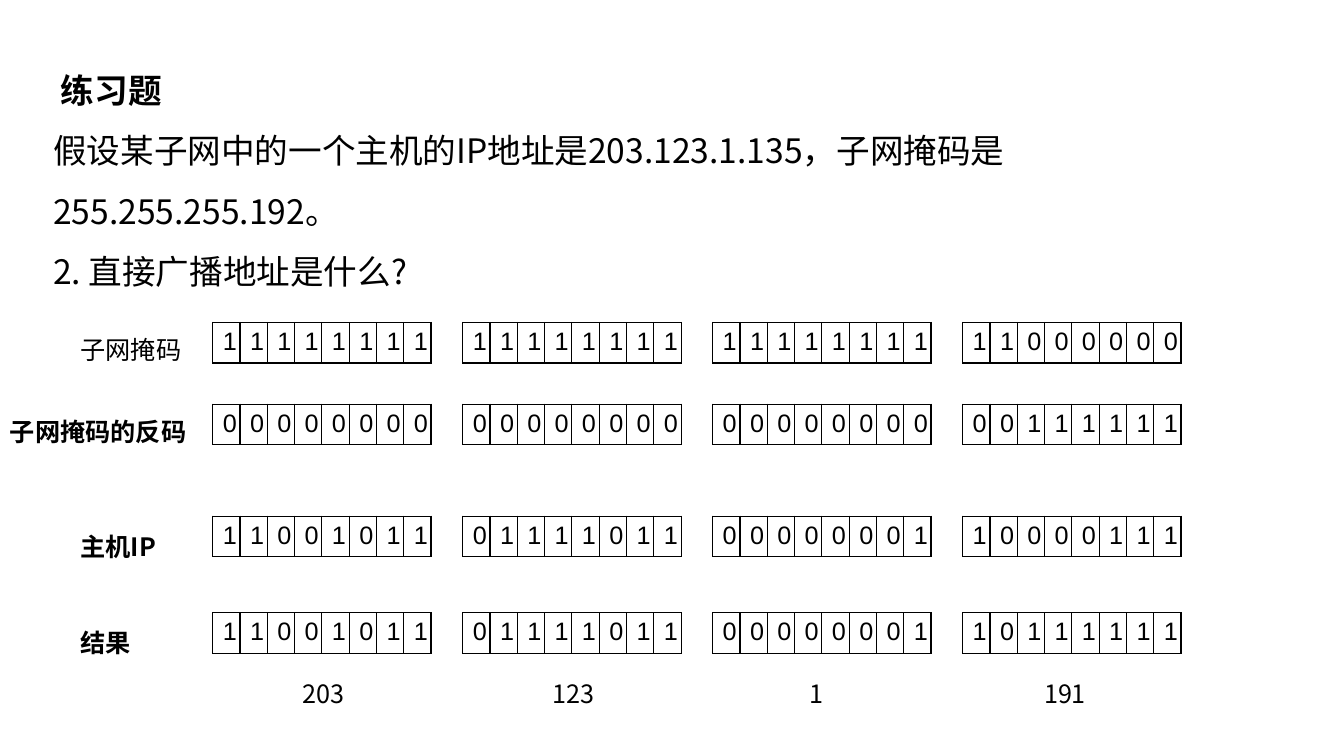
import pptx
import pptx.util
import pptx.dml.color
import pptx.enum.text
import pptx.oxml
import pptx.oxml.ns

Pt = pptx.util.Pt
HUES = {"ink": "000000", "page": "FFFFFF"}
MASK = [255, 255, 255, 192]
HOST = [203, 123, 1, 135]
FLIP = [255 - part for part in MASK]
SUM = [a | b for a, b in zip(HOST, FLIP)]


class Deck:
    cjk = "Noto Sans CJK SC"
    sans = "Arial"

    def __init__(self, wide, high):
        self.show = pptx.Presentation()
        self.show.slide_width, self.show.slide_height = Pt(wide), Pt(high)
        self.slide = self.show.slides.add_slide(self.show.slide_layouts[6])
        fill = self.slide.background.fill
        fill.solid()
        fill.fore_color.rgb = self.hue("page")

    def hue(self, name):
        return pptx.dml.color.RGBColor.from_string(HUES[name])

    def style(self, run, face, size, bold=False):
        looks = {"name": face, "size": Pt(size), "bold": bold}
        for key, value in looks.items():
            setattr(run.font, key, value)
        run.font.color.rgb = self.hue("ink")
        east = pptx.oxml.ns.qn("a:ea")
        run.font._element.makeelement(east)
        node = pptx.oxml.parse_xml(
            f'<a:ea {pptx.oxml.ns.nsdecls("a")} typeface="{face}"/>')
        run.font._element.find(pptx.oxml.ns.qn("a:latin")).addnext(node)

    def text(self, box, lines, size=18):
        frame = self.slide.shapes.add_textbox(*map(Pt, box)).text_frame
        frame.word_wrap = True
        frame.auto_size = pptx.enum.text.MSO_AUTO_SIZE.SHAPE_TO_FIT_TEXT
        for index, (words, bold) in enumerate(lines):
            para = frame.add_paragraph() if index else frame.paragraphs[0]
            para.line_spacing = 1.5
            run = para.add_run()
            run.text = words
            self.style(run, self.cjk, size, bold)

    def edge(self, cell):
        props = cell._tc.get_or_add_tcPr()
        for side in "LRTB":
            props.append(pptx.oxml.parse_xml(
                f'<a:ln{side} {pptx.oxml.ns.nsdecls("a")} w="{Pt(1)}">'
                f'<a:solidFill><a:srgbClr val="{HUES["ink"]}"/></a:solidFill>'
                f'</a:ln{side}>'))
        cell.fill.background()

    def byte(self, left, top, value):
        bits = format(value, "08b")
        wide, high = 156.24, 28.8
        grid = self.slide.shapes.add_table(
            1, len(bits), Pt(left), Pt(top), Pt(wide), Pt(high)).table
        for key in ("first_row", "horz_banding"):
            setattr(grid, key, False)
        for index, bit in enumerate(bits):
            grid.columns[index].width = Pt(wide / len(bits))
            cell = grid.cell(0, index)
            run = cell.text_frame.paragraphs[0].add_run()
            run.text = bit
            self.style(run, self.sans, 18)
            self.edge(cell)


def main():
    deck = Deck(960, 540)
    deck.text((30.96, 31.68, 857.52, 176.4), [
        (" 练习题", True),
        ("假设某子网中的一个主机的IP地址是203.123.1.135，子网掩码是 255.255.255.192。", False),
        ("2. 直接广播地址是什么?", False),
    ], 24)

    rows = [
        ("子网掩码", False, MASK, 230.4, (50.4, 224.64, 90.72, 40.32)),
        ("子网掩码的反码", True, FLIP, 288.72, (0, 282.96, 150.48, 36)),
        ("主机IP", True, HOST, 368.64, (50.4, 365.04, 90.72, 36)),
        ("结果", True, SUM, 437.76, (50.4, 433.44, 90.72, 36)),
    ]
    for name, bold, parts, top, box in rows:
        deck.text(box, [(name, bold)])
        for index, part in enumerate(parts):
            deck.byte(151.92 + index * 178.56, top, part)

    for left, part in zip((208.8, 387.36, 570.96, 738.72), SUM):
        deck.text((left, 470.16, 53.28, 36), [(str(part), False)])

    deck.show.save("out.pptx")


if __name__ == "__main__":
    main()
